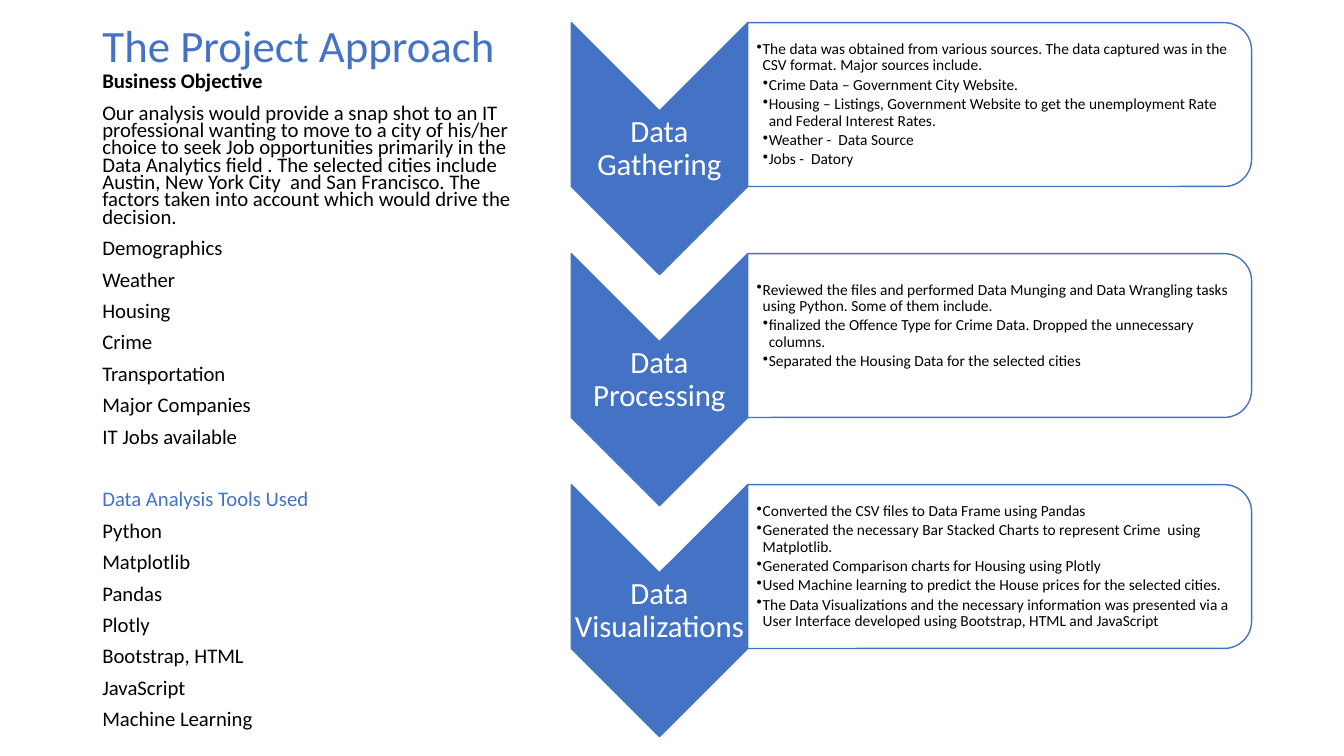
from dataclasses import dataclass

from lxml.etree import SubElement
from pptx import Presentation
from pptx.dml.color import RGBColor
from pptx.enum.shapes import MSO_SHAPE
from pptx.enum.text import MSO_ANCHOR, MSO_AUTO_SIZE, PP_ALIGN
from pptx.oxml.ns import qn
from pptx.util import Inches, Pt

COLUMNS, ROWS = 160, 90


@dataclass(frozen=True)
class Theme:
    font: str = "Calibri"
    accent: RGBColor = RGBColor(0x44, 0x72, 0xC4)
    ink: RGBColor = RGBColor(0, 0, 0)
    paper: RGBColor = RGBColor(255, 255, 255)
    title_size: float = 32
    label_size: float = 22
    body_size: float = 14.8
    detail_size: float = 11
    outline: float = 1
    bullet_indent: float = 0.06


class SlideBuilder:
    def __init__(self, presentation, theme):
        self.theme = theme
        self.column = presentation.slide_width / COLUMNS
        self.row = presentation.slide_height / ROWS
        self.slide = presentation.slides.add_slide(presentation.slide_layouts[5])

    def box(self, left, top, width, height):
        """Turn grid columns and rows into slide lengths."""
        return (int(left * self.column), int(top * self.row),
                int(width * self.column), int(height * self.row))

    def style(self, paragraph, size, color, line_spacing=0.9, bold=False):
        font = paragraph.font
        font.name, font.size, font.bold = self.theme.font, Pt(size), bold
        font.color.rgb = color
        paragraph.line_spacing = line_spacing

    def title(self, text, *place):
        title = self.slide.shapes.title
        title.left, title.top, title.width, title.height = self.box(*place)
        frame = title.text_frame
        frame.text = text
        frame.auto_size = MSO_AUTO_SIZE.NONE
        frame.vertical_anchor = MSO_ANCHOR.BOTTOM
        paragraph = frame.paragraphs[0]
        paragraph.alignment = PP_ALIGN.LEFT
        self.style(paragraph, self.theme.title_size, self.theme.accent)

    def quarter_turned(self, kind, fill, *place):
        """Add a preset shape turned by 90 degrees that fills the given place."""
        left, top, width, height = self.box(*place)
        shift = (width - height) // 2
        shape = self.slide.shapes.add_shape(
            kind, left + shift, top - shift, height, width)
        shape.rotation = 90
        shape.shadow.inherit = False
        shape.fill.solid()
        shape.fill.fore_color.rgb = fill
        shape.line.color.rgb = self.theme.accent
        shape.line.width = Pt(self.theme.outline)

    def text(self, lines, *place, anchor=MSO_ANCHOR.TOP, insets=(0.1, 0.05, 0.1, 0.05)):
        """Add a wrapping text box and return its paragraphs."""
        frame = self.slide.shapes.add_textbox(*self.box(*place)).text_frame
        frame.word_wrap = True
        frame.vertical_anchor = anchor
        (frame.margin_left, frame.margin_top,
         frame.margin_right, frame.margin_bottom) = map(Inches, insets)
        frame.text = "\n".join(lines)
        return frame.paragraphs

    def label(self, text, *place):
        paragraph, = self.text([text], *place, anchor=MSO_ANCHOR.MIDDLE, insets=[0.02] * 4)
        paragraph.alignment = PP_ALIGN.CENTER
        self.style(paragraph, self.theme.label_size, self.theme.paper)

    def bullets(self, items, bottom_inset, *place):
        """Add bulleted (level, text) items."""
        paragraphs = self.text([text for level, text in items], *place,
                               anchor=MSO_ANCHOR.MIDDLE,
                               insets=(0.09, 0.01, 0.01, bottom_inset))
        indent = Inches(self.theme.bullet_indent)
        for paragraph, (level, text) in zip(paragraphs, items):
            self.style(paragraph, self.theme.detail_size, self.theme.ink)
            paragraph.level = level
            paragraph.space_after = Pt(1.9)
            properties = paragraph._p.get_or_add_pPr()
            properties.set("marL", str(indent * level))
            properties.set("indent", str(-indent))
            bullet = SubElement(properties, qn("a:buChar"))
            bullet.set("char", "•")
            default_run = properties.find(qn("a:defRPr"))
            if default_run is not None:
                default_run.addprevious(bullet)

    def step(self, name, items, bottom_inset, top):
        """Add a downward chevron with its label and its card of details."""
        self.quarter_turned(MSO_SHAPE.CHEVRON, self.theme.accent, 68, top, 21, 30)
        self.label(name, 68, top + 10.5, 21, 9)
        self.quarter_turned(MSO_SHAPE.ROUND_2_SAME_RECTANGLE, self.theme.paper,
                            89, top, 60, 19.5)
        self.bullets(items, bottom_inset, 89, top + 1, 59, 17.5)

    def overview(self, objective, factors, tools, *place):
        """Add the objective and the tools, each under a heading of its own."""
        lines = [*objective, *factors, *tools]
        tools_start = len(lines) - len(tools)
        for index, paragraph in enumerate(self.text(lines, *place)):
            is_tools_heading = index == tools_start
            color = self.theme.accent if is_tools_heading else self.theme.ink
            self.style(paragraph, self.theme.body_size, color, 0.7, bold=index == 0)
            paragraph.space_before = Pt(32.5 if is_tools_heading else 10)


OBJECTIVE = [
    "Business Objective",
    "Our analysis would provide a snap shot to an IT professional wanting to move to a "
    "city of his/her choice to seek Job opportunities primarily in the Data Analytics "
    "field . The selected cities include  Austin, New York City  and San Francisco. "
    "The factors taken into account which would drive the decision.",
]
FACTORS = ["Demographics", "Weather", "Housing", "Crime", "Transportation",
           "Major Companies", "IT Jobs available"]
TOOLS = ["Data Analysis Tools Used", "Python", "Matplotlib", "Pandas", "Plotly",
         "Bootstrap, HTML", "JavaScript", "Machine Learning"]

# Step name, (level, text) items, bottom inset of the card text in inches
STEPS = [
    ("Data Gathering", [
        (1, "The data was obtained from various sources. The data captured was in the "
            "CSV format. Major sources include."),
        (2, "Crime Data – Government City Website."),
        (2, "Housing – Listings, Government Website to get the unemployment Rate and "
            "Federal Interest Rates."),
        (2, "Weather -  Data Source"),
        (2, "Jobs -  Datory"),
    ], 0.01),
    ("Data Processing", [
        (1, "Reviewed the files and performed Data Munging and Data Wrangling tasks "
            "using Python. Some of them include."),
        (2, "finalized the Offence Type for Crime Data. Dropped the unnecessary columns."),
        (2, "Separated the Housing Data for the selected cities"),
    ], 0.2),
    ("Data Visualizations", [
        (1, "Converted the CSV files to Data Frame using Pandas"),
        (1, "Generated the necessary Bar Stacked Charts to represent Crime  using "
            "Matplotlib."),
        (1, "Generated Comparison charts for Housing using Plotly"),
        (1, "Used Machine learning to predict the House prices for the selected cities."),
        (1, "The Data Visualizations and the necessary information was presented via a "
            "User Interface developed using Bootstrap, HTML and JavaScript"),
    ], 0.01),
]


def main():
    presentation = Presentation()
    presentation.slide_width, presentation.slide_height = Inches(13.33), Inches(7.5)
    builder = SlideBuilder(presentation, Theme())
    builder.title("The Project Approach", 11, 0.6, 51.6, 8.6)
    for index, (name, items, bottom_inset) in enumerate(STEPS):
        builder.step(name, items, bottom_inset, top=2.7 + 27.5 * index)
    builder.overview(OBJECTIVE, FACTORS, TOOLS, 11, 8.3, 51.6, 81.7)
    presentation.save("out.pptx")


if __name__ == "__main__":
    main()
